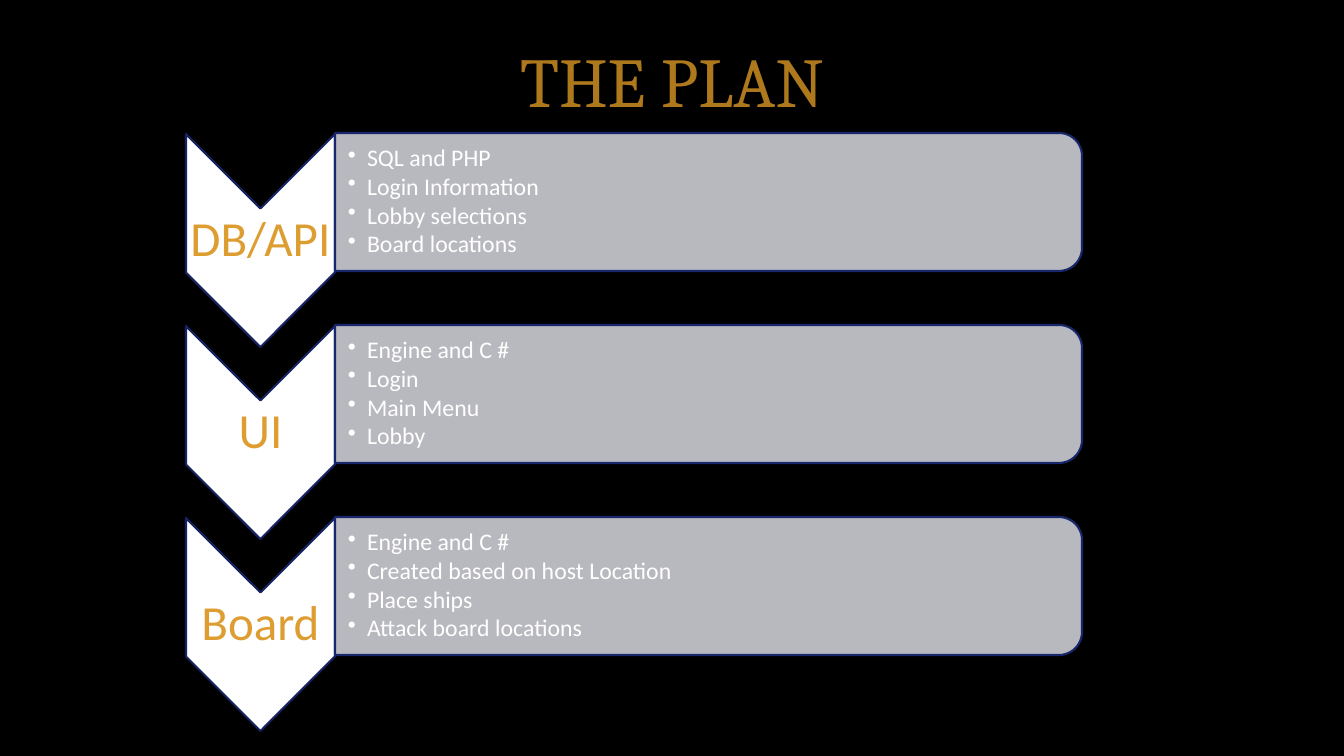
from lxml import etree
from pptx import Presentation
from pptx.dml.color import RGBColor
from pptx.enum.shapes import MSO_SHAPE as Preset
from pptx.enum.text import MSO_ANCHOR as Anchor, PP_ALIGN as Align
from pptx.oxml.ns import qn
from pptx.util import Emu, Pt

SLIDE_W, SLIDE_H = 1344, 756
EMU_PER_PX = 12192000 / SLIDE_W

PLAN = [
    ("DB/API", ["SQL and PHP", "Login Information",
                "Lobby selections", "Board locations"]),
    ("UI", ["Engine and C #", "Login", "Main Menu", "Lobby"]),
    ("Board", ["Engine and C #", "Created based on host Location",
               "Place ships", "Attack board locations"]),
]


def px(length):
    return Emu(round(length * EMU_PER_PX))


def color(hex_string):
    return RGBColor.from_string(hex_string)


def add_text(slide, box, lines, font="Calibri", size=17, fill="FFFFFF",
             align=Align.LEFT, insets=(0, 0, 0, 0), spacing=1.0,
             after=0, bullet_indent=0):
    frame = slide.shapes.add_textbox(*map(px, box)).text_frame
    frame.word_wrap = True
    frame.vertical_anchor = Anchor.MIDDLE
    (frame.margin_left, frame.margin_top,
     frame.margin_right, frame.margin_bottom) = map(px, insets)
    for index, line in enumerate(lines):
        paragraph = frame.paragraphs[0] if index == 0 else frame.add_paragraph()
        paragraph.alignment = align
        paragraph.line_spacing = spacing
        paragraph.space_after = Pt(after)
        run = paragraph.add_run()
        run.text = line
        run.font.name, run.font.size = font, Pt(size)
        run.font.color.rgb = color(fill)
        if bullet_indent:
            paragraph.level = 1
            props = paragraph._p.get_or_add_pPr()
            props.set("marL", str(px(bullet_indent)))
            props.set("indent", str(-px(bullet_indent)))
            etree.SubElement(props, qn("a:buChar")).set("char", "•")


def add_turned_shape(slide, preset, box, fill, line, opacity=100):
    """Place a shape turned by 90 degrees so that it fills the box as seen."""
    left, top, width, height = box
    shift = (width - height) / 2
    shape = slide.shapes.add_shape(
        preset, px(left + shift), px(top - shift), px(height), px(width))
    shape.rotation = 90
    shape.shadow.inherit = False
    shape.fill.solid()
    shape.fill.fore_color.rgb = color(fill)
    shape.line.color.rgb = color(line)
    shape.line.width = Pt(1.5)
    if opacity < 100:
        tint = shape._element.spPr.find(qn("a:solidFill"))[0]
        etree.SubElement(tint, qn("a:alpha")).set("val", str(opacity * 1000))


def add_title(slide, box):
    add_text(slide, box, ["THE PLAN"], font="Cambria", size=50,
             fill="AE781D", align=Align.CENTER)


def add_stage(slide, box, name, tasks):
    left, top, width, height = box
    arrow_w, arrow_h, name_h = 149, 213, 64
    arrow_top = top + 1

    # Downward arrow with the stage name
    add_turned_shape(slide, Preset.CHEVRON,
                     (left, arrow_top, arrow_w, arrow_h), "FFFFFF", "162362")
    name_top = arrow_top + (arrow_h - name_h) / 2
    add_text(slide, (left, name_top, arrow_w, name_h), [name], size=35,
             fill="DD9D31", align=Align.CENTER, insets=(2, 2, 2, 2),
             spacing=0.9)

    # Panel with the tasks
    panel_left, panel_w = left + arrow_w, width - arrow_w
    add_turned_shape(slide, Preset.ROUND_2_SAME_RECTANGLE,
                     (panel_left, top, panel_w, height),
                     "CCCDD4", "18276C", opacity=90)
    add_text(slide, (panel_left, top + 7, panel_w - 7, height - 14), tasks,
             insets=(13, 1, 1, 1), spacing=0.9, after=2.2, bullet_indent=19)


def main():
    deck = Presentation()
    deck.slide_width, deck.slide_height = px(SLIDE_W), px(SLIDE_H)
    slide = deck.slides.add_slide(deck.slide_layouts[6])
    background = slide.background.fill
    background.solid()
    background.fore_color.rgb = color("000000")

    add_title(slide, (0, 0, SLIDE_W, 160))
    for row, (name, tasks) in enumerate(PLAN):
        add_stage(slide, (186, 133 + row * 192, 896, 138), name, tasks)
    deck.save("out.pptx")


if __name__ == "__main__":
    main()
